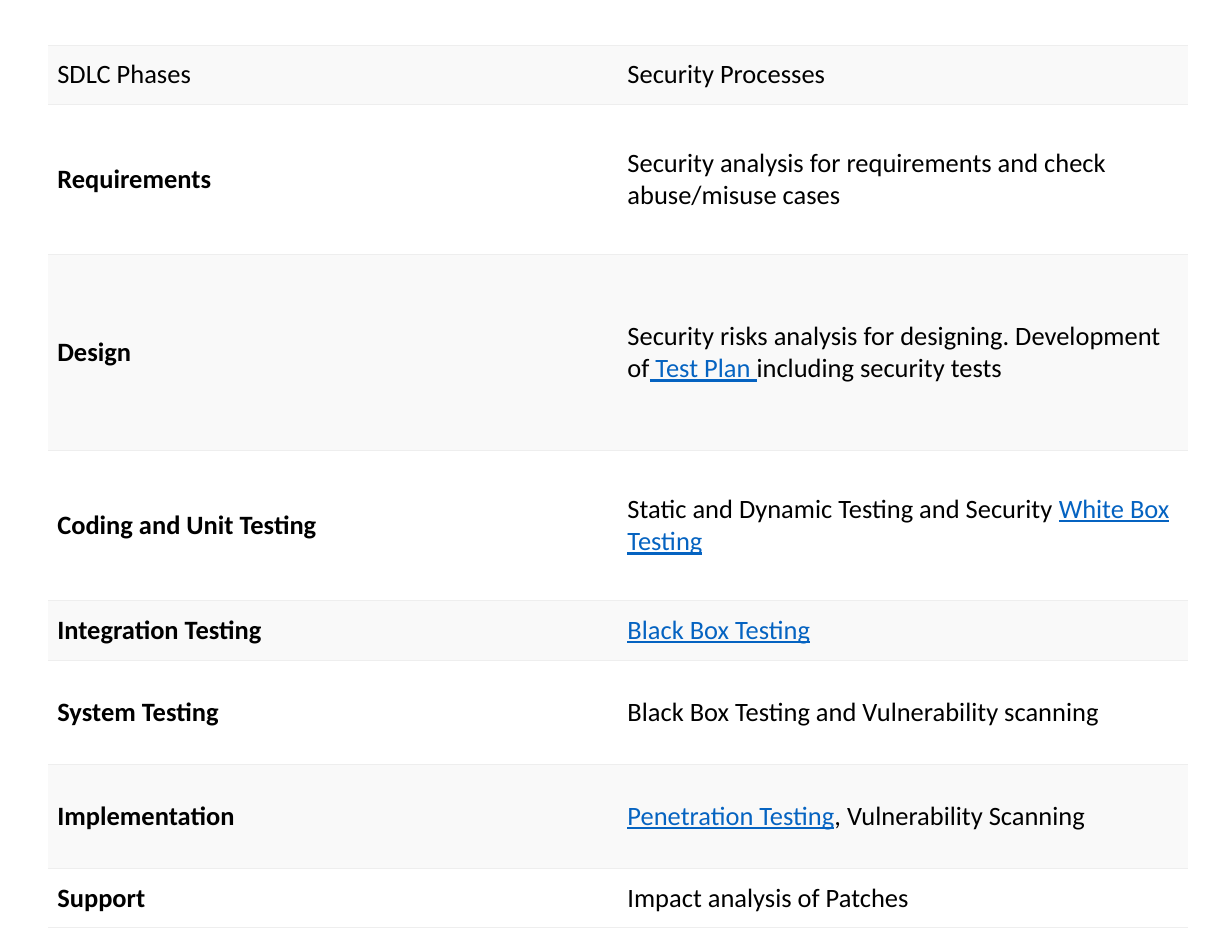
from lxml import etree
from pptx import Presentation
from pptx import util as u
from pptx.dml.color import RGBColor
from pptx.enum import text
from pptx.oxml import ns

BLACK = RGBColor(0x00, 0x00, 0x00)
LINK_BLUE = RGBColor(0x05, 0x63, 0xC1)
RULE_GREY = RGBColor(0xEE, 0xEE, 0xEE)
BANDS = (RGBColor(0xF9, 0xF9, 0xF9), RGBColor(0xFF, 0xFF, 0xFF))

PLAIN, BOLD, LINK = "plain", "bold", "link"

PHASES = [
    (1.35, [("SDLC Phases", PLAIN)], [("Security Processes", PLAIN)]),
    (3.4, [("Requirements", BOLD)],
     [("Security analysis for requirements and check abuse/misuse cases", PLAIN)]),
    (4.45, [("Design", BOLD)],
     [("Security risks analysis for designing. Development of", PLAIN),
      ("\u00a0Test Plan\u00a0", LINK),
      ("including security tests", PLAIN)]),
    (3.4, [("Coding and Unit Testing", BOLD)],
     [("Static and Dynamic Testing and Security\u00a0", PLAIN),
      ("White Box Testing", LINK)]),
    (1.35, [("Integration Testing", BOLD)], [("Black Box Testing", LINK)]),
    (2.36, [("System Testing", BOLD)],
     [("Black Box Testing and Vulnerability scanning", PLAIN)]),
    (2.36, [("Implementation", BOLD)],
     [("Penetration Testing", LINK), (", Vulnerability Scanning", PLAIN)]),
    (1.35, [("Support", BOLD)], [("Impact analysis of Patches", PLAIN)]),
]


def rule_cell(cell):
    properties = cell._tc.get_or_add_tcPr()
    for index, side in enumerate(("lnL", "lnR", "lnT", "lnB")):
        edge = etree.Element(ns.qn(f"a:{side}"), w=str(u.Pt(0.6)))
        if side in ("lnT", "lnB"):
            fill = etree.SubElement(edge, ns.qn("a:solidFill"))
            etree.SubElement(fill, ns.qn("a:srgbClr"), val=str(RULE_GREY))
        else:
            etree.SubElement(edge, ns.qn("a:noFill"))
        properties.insert(index, edge)


def fill_cell(cell, pieces, band):
    cell.fill.solid()
    cell.fill.fore_color.rgb = band
    cell.vertical_anchor = text.MSO_ANCHOR.MIDDLE
    cell.margin_left = cell.margin_right = u.Cm(0.21)
    cell.margin_top = cell.margin_bottom = u.Cm(0.1)
    paragraph = cell.text_frame.paragraphs[0]
    for wording, style in pieces:
        run = paragraph.add_run()
        run.text = wording
        run.font.name = "Calibri"
        run.font.size = u.Pt(17)
        run.font.bold = style == BOLD
        run.font.underline = style == LINK
        run.font.color.rgb = LINK_BLUE if style == LINK else BLACK
    rule_cell(cell)


def add_phase_table(slide, left, top, width):
    height = u.Cm(sum(phase[0] for phase in PHASES))
    table = slide.shapes.add_table(len(PHASES), 2, left, top, width, height).table
    table.first_row = False
    table.horz_banding = False
    for column in table.columns:
        column.width = width // 2
    for index, (row_height, *columns) in enumerate(PHASES):
        table.rows[index].height = u.Cm(row_height)
        for position, pieces in enumerate(columns):
            fill_cell(table.cell(index, position), pieces, BANDS[index % 2])


deck = Presentation()
deck.slide_width = u.Cm(27.94)
deck.slide_height = u.Cm(21.59)
security_slide = deck.slides.add_slide(deck.slide_layouts[6])
add_phase_table(security_slide, u.Cm(1.09), u.Cm(1.02), u.Cm(25.86))
deck.save("out.pptx")
